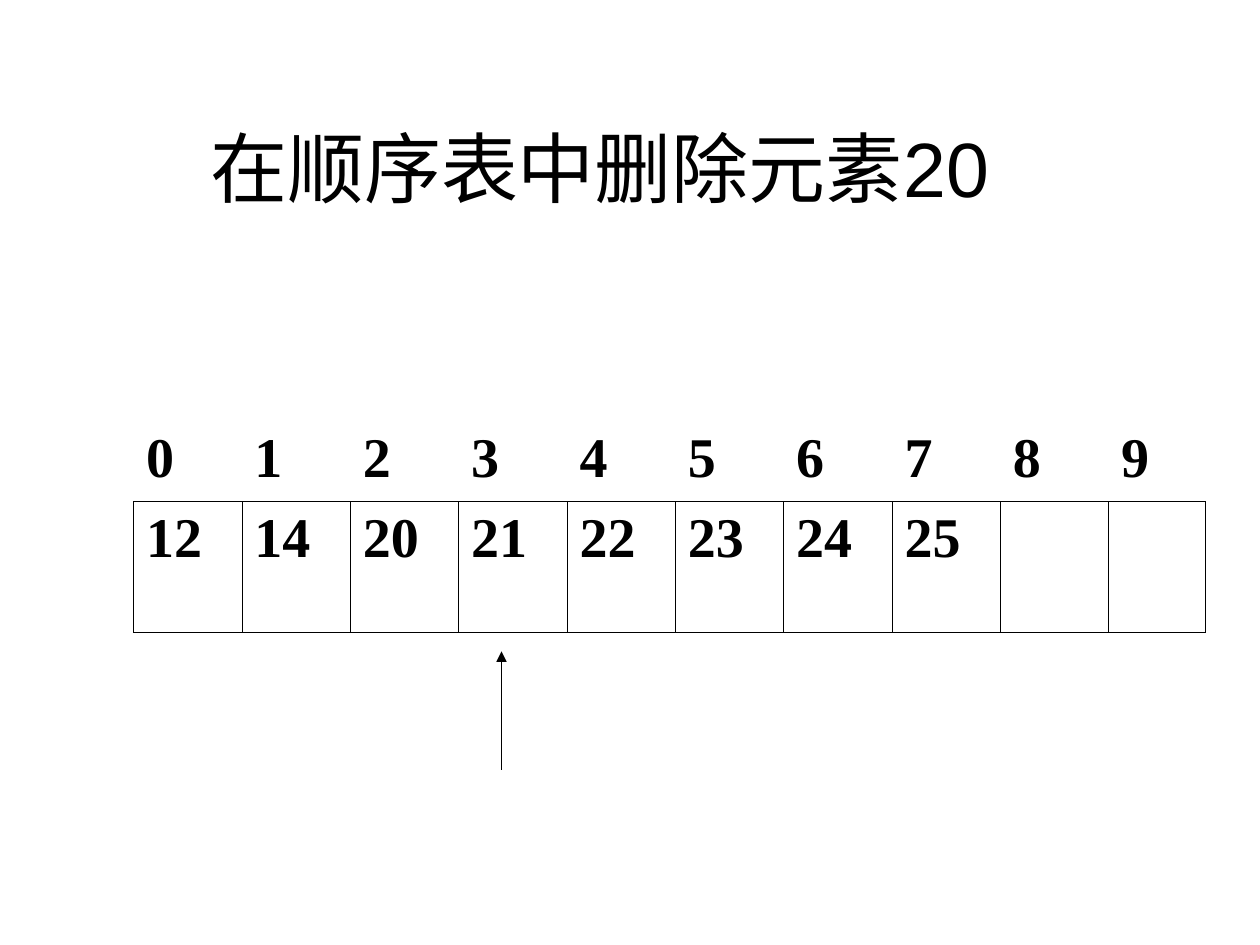
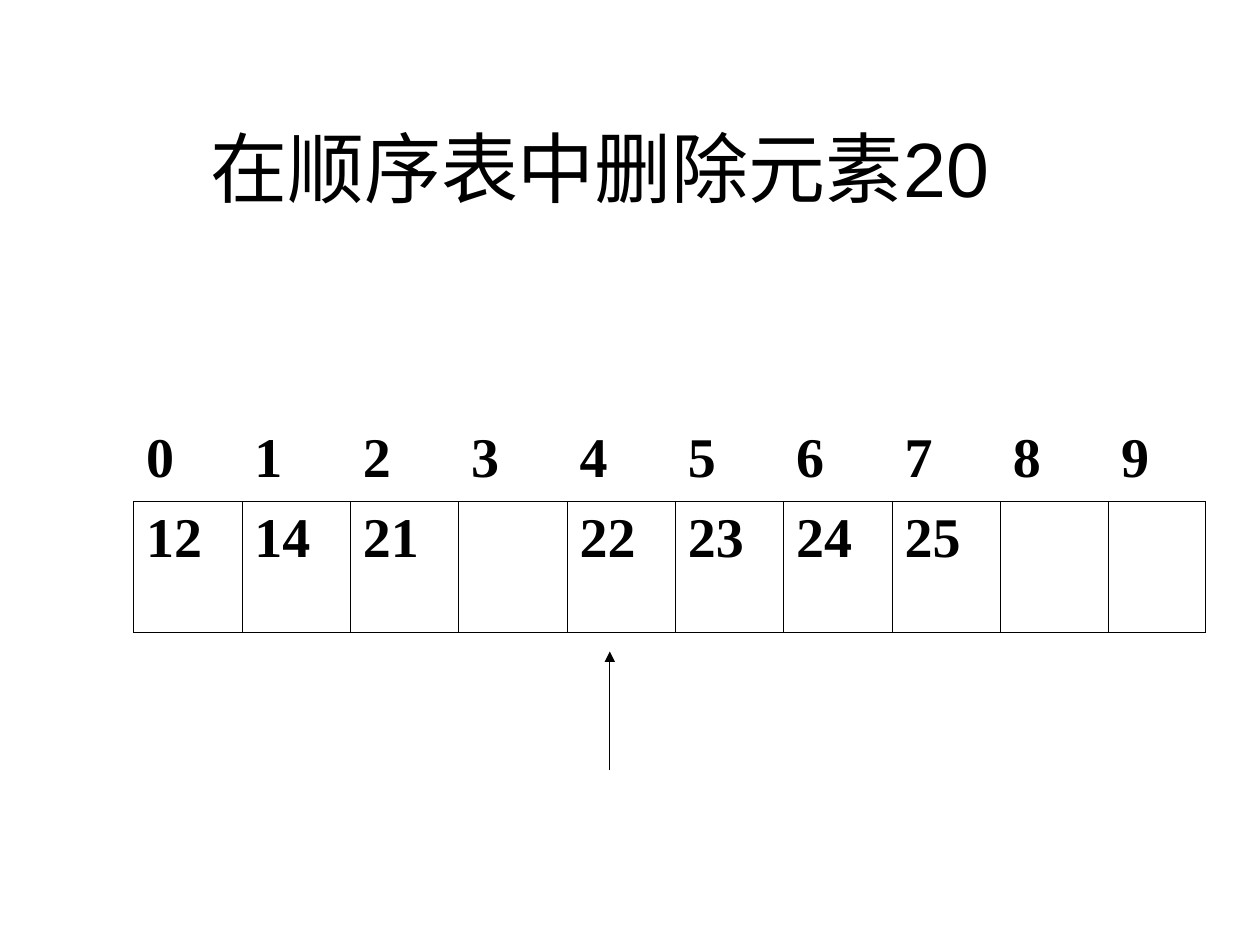
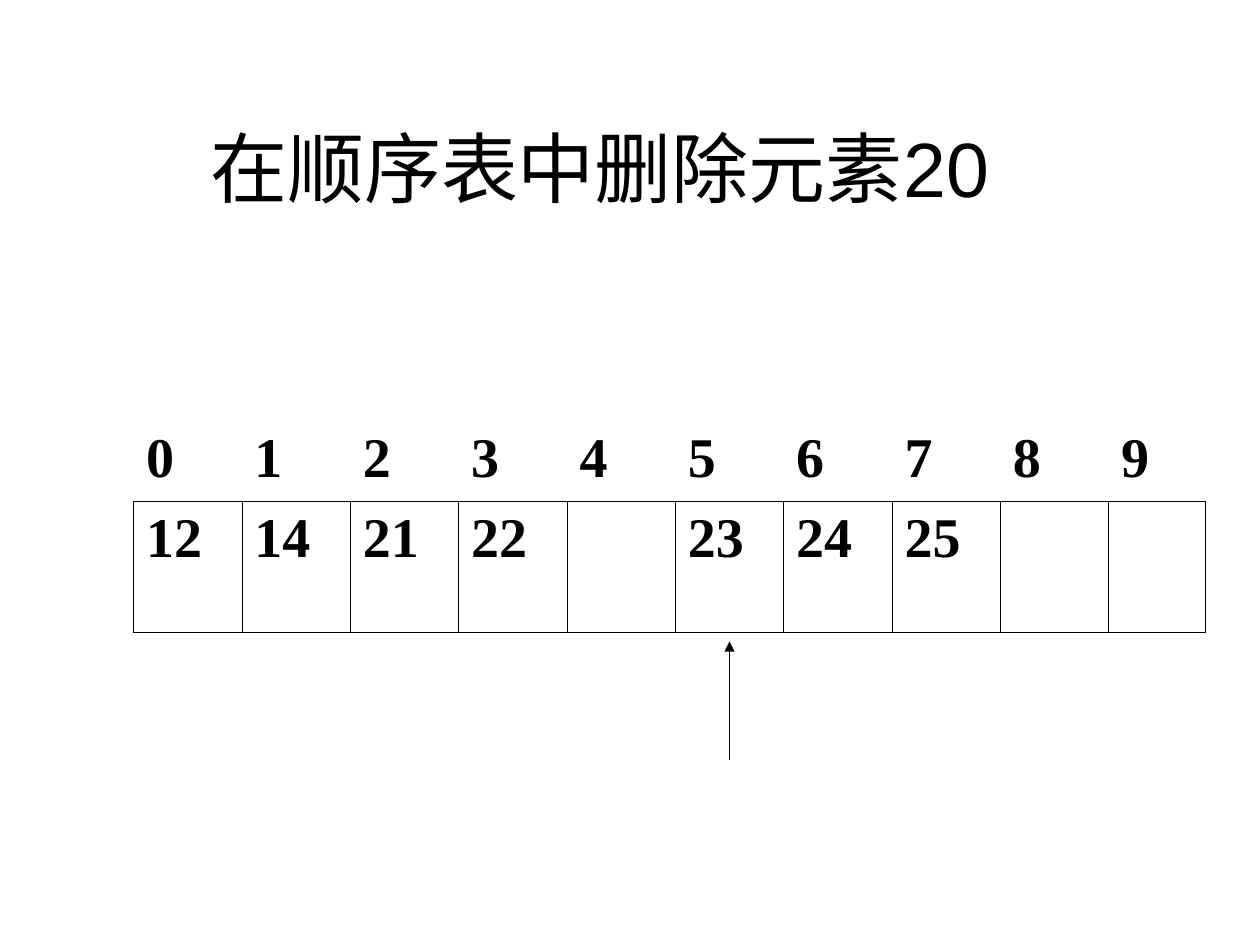
from lxml import etree
from pptx import Presentation
from pptx.dml.color import RGBColor
from pptx.enum import shapes, text
from pptx.oxml import ns
from pptx.util import Inches, Pt

INK = RGBColor(0x00, 0x00, 0x00)
TITLE_FONT = "Arial"
CELL_FONT = "Times New Roman"
PLAIN_TABLE_STYLE = "{2D5ABB26-0587-4C30-8999-92F81FD0307C}"

TITLE = "在顺序表中删除元素20"
TITLE_BOX = (0.51, 0.52, 8.5, 1.61)
LIST_BOX = (1.06, 3.34, 8.51, 1.68)
CELL_WIDTH = 0.86
INDEX_HEIGHT = 0.64
CAPACITY = 10
ARROW_LENGTH = 0.94

# Stored elements, index pointed at, arrow offset in that cell, gap below the list
STEPS = [
    (["12", "14", "20", "21", "22", "23", "24", "25", "", ""], 3, 0.34, 0.15),
    (["12", "14", "21", "", "22", "23", "24", "25", "", ""], 4, 0.34, 0.15),
    (["12", "14", "21", "22", "", "23", "24", "25", "", ""], 5, 0.43, 0.07),
]


def style_font(paragraph, name, size, bold=False):
    font = paragraph.font
    font.name, font.size, font.bold = name, Pt(size), bold
    font.color.rgb = INK


def add_title(slide, box):
    frame = slide.shapes.add_textbox(*map(Inches, box)).text_frame
    frame.word_wrap = True
    frame.vertical_anchor = text.MSO_ANCHOR.MIDDLE
    heading = frame.paragraphs[0]
    heading.text = TITLE
    heading.alignment = text.PP_ALIGN.CENTER
    style_font(heading, TITLE_FONT, 44)


def set_borders(cell, sides):
    """Draw thin lines on the given sides, listed in the order L, R, T, B."""
    properties = cell._tc.get_or_add_tcPr()
    for side in sides:
        line = etree.SubElement(properties, ns.qn(f"a:ln{side}"), w=str(Pt(0.45)))
        fill = etree.SubElement(line, ns.qn("a:solidFill"))
        etree.SubElement(fill, ns.qn("a:srgbClr"), val=str(INK))


def add_list(slide, box, elements):
    """Draw the indexes above the bordered cells that hold the elements."""
    left, top, width, height = box
    frame = slide.shapes.add_table(2, CAPACITY, *map(Inches, box))
    table = frame.table
    table.first_row = table.horz_banding = False
    frame._element.find(".//" + ns.qn("a:tableStyleId")).text = PLAIN_TABLE_STYLE

    for column in table.columns:
        column.width = Inches(CELL_WIDTH)
    table.columns[CAPACITY - 1].width = Inches(width - CELL_WIDTH * (CAPACITY - 1))
    table.rows[0].height = Inches(INDEX_HEIGHT)
    table.rows[1].height = Inches(height - INDEX_HEIGHT)

    indexes = [str(index) for index in range(CAPACITY)]
    for row, (values, sides) in enumerate([(indexes, "B"), (elements, "LRTB")]):
        for column, value in enumerate(values):
            cell = table.cell(row, column)
            cell.text = value
            style_font(cell.text_frame.paragraphs[0], CELL_FONT, 32, bold=True)
            set_borders(cell, sides)
            cell.fill.background()


def add_pointer(slide, box, index, offset, gap):
    """Point an arrow upwards at one cell of the list in the box."""
    left, top, width, height = box
    x = Inches(left + index * CELL_WIDTH + offset)
    tip = top + height + gap
    arrow = slide.shapes.add_connector(
        shapes.MSO_CONNECTOR.STRAIGHT, x, Inches(tip + ARROW_LENGTH), x, Inches(tip))
    arrow.line.color.rgb = INK
    arrow.line.width = Pt(0.75)
    etree.SubElement(arrow.line._get_or_add_ln(), ns.qn("a:tailEnd"), type="triangle")
    etree.SubElement(arrow._element.spPr, ns.qn("a:effectLst"))


def main():
    deck = Presentation()
    deck.slide_width, deck.slide_height = Inches(10), Inches(7.5)
    for elements, index, offset, gap in STEPS:
        slide = deck.slides.add_slide(deck.slide_layouts[6])
        add_title(slide, TITLE_BOX)
        add_list(slide, LIST_BOX, elements)
        add_pointer(slide, LIST_BOX, index, offset, gap)
    deck.save("out.pptx")


if __name__ == "__main__":
    main()
